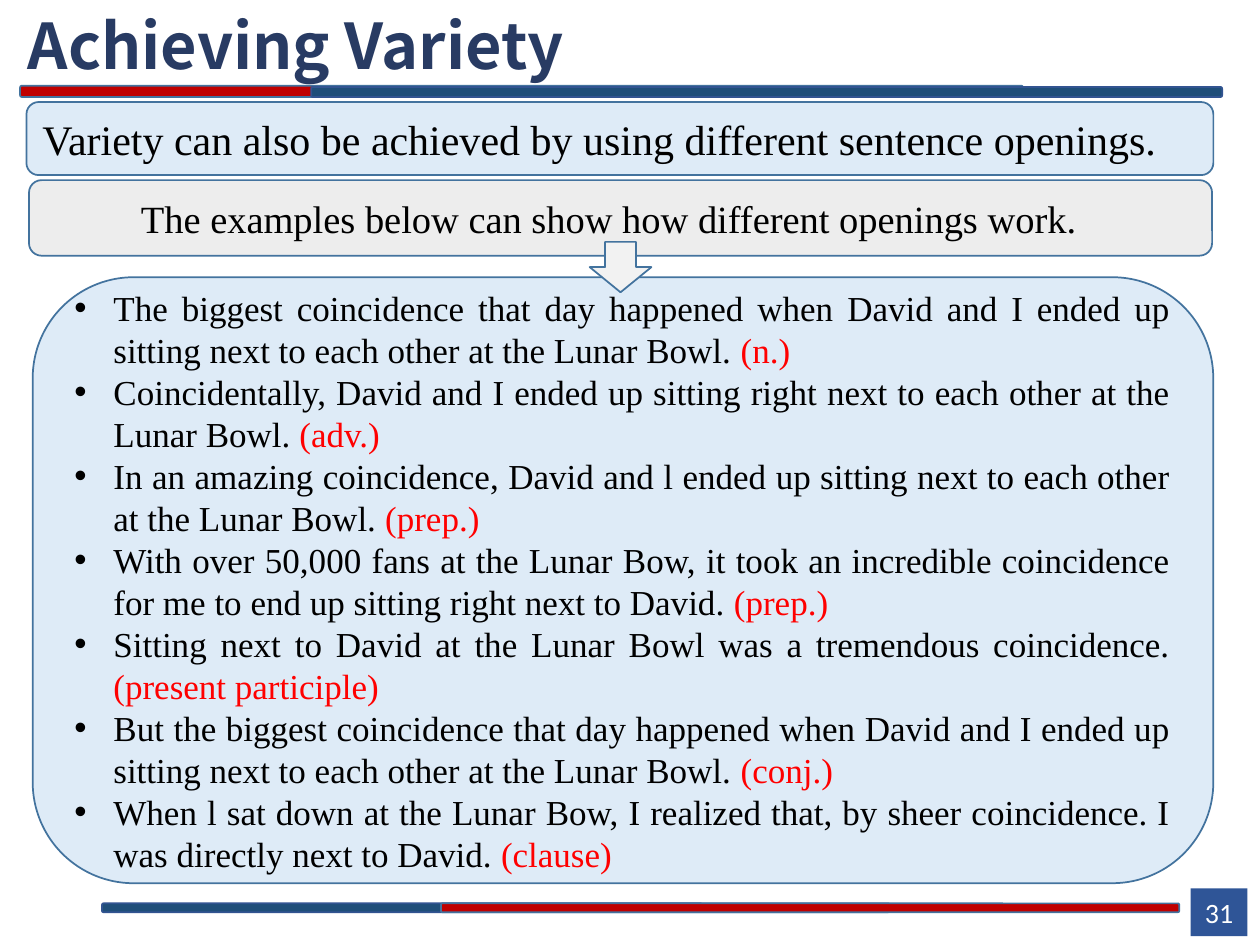
"""Build the "Achieving Variety" slide about different sentence openings."""
from lxml import etree
from pptx import Presentation
from pptx.dml.color import RGBColor
from pptx.enum.shapes import MSO_SHAPE
from pptx.enum.text import MSO_ANCHOR, MSO_AUTO_SIZE, PP_ALIGN
from pptx.oxml.ns import qn
from pptx.util import Inches, Pt

RECT = MSO_SHAPE.RECTANGLE
ROUNDED = MSO_SHAPE.ROUNDED_RECTANGLE
DOWN_ARROW = MSO_SHAPE.DOWN_ARROW
TOP, MIDDLE = MSO_ANCHOR.TOP, MSO_ANCHOR.MIDDLE
LEFT, CENTER, JUSTIFY = PP_ALIGN.LEFT, PP_ALIGN.CENTER, PP_ALIGN.JUSTIFY
NO_AUTOFIT = MSO_AUTO_SIZE.NONE

COLORS = {
    "title": "283B63", "text": "000000", "label": "FF0000", "white": "FFFFFF",
    "red": "C00000", "navy": "1F4E79", "navy edge": "325491",
    "edge": "43739E", "pale blue": "DEEBF7", "gray": "EDEDED",
    "arrow": "F2F2F2", "badge": "2F5597",
}
SERIF, SANS, HEADING = "Times New Roman", "Calibri", "Noto Sans CJK SC"

EXAMPLES = [
    ("The biggest coincidence that day happened when David and I ended up "
     "sitting next to each other at the Lunar Bowl. ", "(n.)"),
    ("Coincidentally, David and I ended up sitting right next to each other "
     "at the Lunar Bowl. ", "(adv.)"),
    ("In an amazing coincidence, David and l ended up sitting next to each "
     "other at the Lunar Bowl. ", "(prep.)"),
    ("With over 50,000 fans at the Lunar Bow, it took an incredible "
     "coincidence for me to end up sitting right next to David. ", "(prep.)"),
    ("Sitting next to David at the Lunar Bowl was a tremendous coincidence. ",
     "(present participle)"),
    ("But the biggest coincidence that day happened when David and I ended up "
     "sitting next to each other at the Lunar Bowl. ", "(conj.)"),
    ("When l sat down at the Lunar Bow, I realized that, by sheer "
     "coincidence. I was directly next to David. ", "(clause)"),
]


class SlideBuilder:
    """Holds the style and the current slide, and adds each kind of element."""

    def __init__(self, slide):
        self.slide = slide

    def color(self, name):
        return RGBColor.from_string(COLORS[name])

    def style(self, paragraph, size, font, color=None, bold=False, align=LEFT):
        paragraph.alignment = align
        paragraph.font.size = Pt(size)
        paragraph.font.name = font
        paragraph.font.bold = bold
        if color:
            paragraph.font.color.rgb = self.color(color)

    def place(self, holder, box, anchor):
        holder.left, holder.top, holder.width, holder.height = map(Inches, box)
        frame = holder.text_frame
        frame.auto_size = NO_AUTOFIT
        frame.word_wrap = True
        frame.vertical_anchor = anchor
        frame.margin_left = frame.margin_right = 0
        frame.margin_top = frame.margin_bottom = 0
        return frame

    def shape(self, kind, box, fill, edge="edge", parent=None):
        shapes = (parent or self.slide).shapes
        shape = shapes.add_shape(kind, *map(Inches, box))
        shape.shadow.inherit = False
        shape.fill.solid()
        shape.fill.fore_color.rgb = self.color(fill)
        if edge:
            shape.line.color.rgb = self.color(edge)
            shape.line.width = Pt(1)
        else:
            shape.line.fill.background()
        return shape

    def label(self, shape, text, size, font, color, align=LEFT, inset=0.1):
        frame = shape.text_frame
        frame.word_wrap = True
        frame.vertical_anchor = MIDDLE
        frame.margin_left = Inches(inset)
        frame.paragraphs[0].text = text
        self.style(frame.paragraphs[0], size, font, color, align=align)

    def rule(self, *bars):
        group = self.slide.shapes.add_group_shape()
        for box, fill, edge in bars:
            self.shape(ROUNDED, box, fill, edge, group)

    def title(self, text, box):
        frame = self.place(self.slide.shapes.title, box, TOP)
        frame.text = text
        self.style(frame.paragraphs[0], 36, HEADING, "title", bold=True)

    def examples(self, items, box):
        body = self.slide.placeholders[1]
        self.slide.shapes._spTree.append(body._element)
        frame = self.place(body, box, MIDDLE)
        for index, (sentence, opening) in enumerate(items):
            paragraph = frame.paragraphs[0] if index == 0 else frame.add_paragraph()
            properties = paragraph._p.get_or_add_pPr()
            properties.set("marL", str(Inches(0.31)))
            properties.set("indent", str(-Inches(0.31)))
            etree.SubElement(properties, qn("a:buFont")).set("typeface", "Arial")
            etree.SubElement(properties, qn("a:buChar")).set("char", "•")
            paragraph.space_before = Pt(0)
            paragraph.line_spacing = 1.0
            self.style(paragraph, 20, SERIF, align=JUSTIFY)
            for text, color in ((sentence, "text"), (opening, "label")):
                run = paragraph.add_run()
                run.text = text
                run.font.color.rgb = self.color(color)


def main():
    deck = Presentation()
    deck.slide_width, deck.slide_height = Inches(10), Inches(7.5)
    page = SlideBuilder(deck.slides.add_slide(deck.slide_layouts[1]))

    number = page.shape(RECT, (9.45, 7.05, 0.45, 0.38), "badge", None)
    page.label(number, "31", 16, SANS, "white", CENTER)
    page.rule(((0.16, 0.68, 7.96, 0.09), "red", "edge"),
              ((2.47, 0.69, 7.23, 0.08), "navy", "navy edge"))
    page.rule(((0.81, 7.17, 6.25, 0.07), "navy", "navy edge"),
              ((3.5, 7.17, 5.86, 0.07), "red", "edge"))
    page.title("Achieving Variety", (0.22, 0.05, 6.57, 0.62))

    lead_in = page.shape(ROUNDED, (0.23, 1.43, 9.39, 0.6), "gray")
    page.label(lead_in, "The examples below can show how different openings work.",
               22, SERIF, "text", inset=0.86)
    page.shape(ROUNDED, (0.26, 2.2, 9.37, 4.81), "pale blue")
    page.examples(EXAMPLES, (0.59, 2.2, 8.7, 4.81))
    statement = page.shape(ROUNDED, (0.21, 0.81, 9.42, 0.58), "pale blue")
    page.label(statement, "Variety can also be achieved by using different "
               "sentence openings.", 24, SERIF, "text")
    page.shape(DOWN_ARROW, (4.68, 1.92, 0.49, 0.4), "arrow")

    deck.save("out.pptx")


if __name__ == "__main__":
    main()
